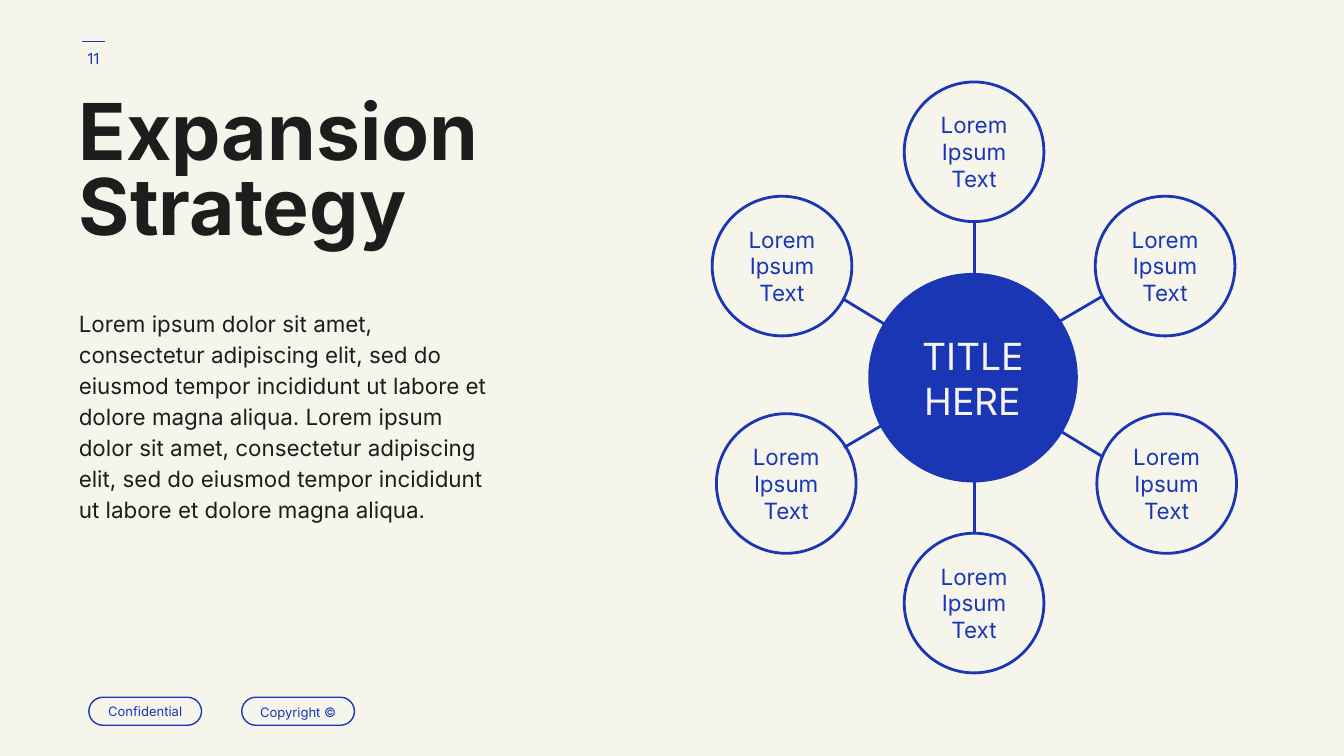
from lxml import etree
from pptx import Presentation
from pptx.dml.color import RGBColor
from pptx.enum.shapes import MSO_CONNECTOR, MSO_SHAPE
from pptx.enum.text import MSO_ANCHOR, PP_ALIGN
from pptx.oxml.ns import qn
from pptx.util import Cm, Pt

BLUE = RGBColor(0x1A, 0x36, 0xB4)
CREAM = RGBColor(0xF6, 0xF5, 0xEC)
INK = RGBColor(0x1D, 0x1D, 0x1D)
FONT = "Inter"
LEFT, CENTER = PP_ALIGN.LEFT, PP_ALIGN.CENTER
TOP, MIDDLE = MSO_ANCHOR.TOP, MSO_ANCHOR.MIDDLE
ROUNDED = MSO_SHAPE.ROUNDED_RECTANGLE
STRAIGHT = MSO_CONNECTOR.STRAIGHT
SITE_TOP, SITE_BOTTOM = 0, 2


class Deck:
    """Holds the style and the current slide."""

    def __init__(self, width, height):
        self.prs = Presentation()
        self.prs.slide_width, self.prs.slide_height = Cm(width), Cm(height)
        self.s = self.prs.slides.add_slide(self.prs.slide_layouts[6])
        fill = self.s.background.fill
        fill.solid()
        fill.fore_color.rgb = CREAM

    def add_lines(self, sp, lines, size, color, align, anchor, spacing, bold=False):
        tf = sp.text_frame
        tf.word_wrap = True
        tf.vertical_anchor = anchor
        tf.margin_left = tf.margin_right = Cm(0.25)
        tf.margin_top = tf.margin_bottom = Cm(0.25)
        for i, line in enumerate(lines):
            p = tf.add_paragraph() if i else tf.paragraphs[0]
            p.alignment = align
            p.line_spacing = spacing
            r = p.add_run()
            r.text = line
            r.font.name = FONT
            r.font.size = Pt(size)
            r.font.bold = bold
            r.font.color.rgb = color

    def text(self, x, y, w, h, lines, size, color=INK, align=LEFT,
             anchor=TOP, spacing=1.0, bold=False):
        sp = self.s.shapes.add_textbox(Cm(x), Cm(y), Cm(w), Cm(h))
        self.add_lines(sp, lines, size, color, align, anchor, spacing, bold)

    def pill(self, x, y, w, h, lines, size, weight=None, fill=None,
             color=BLUE, spacing=1.0):
        sp = self.s.shapes.add_shape(ROUNDED, Cm(x), Cm(y), Cm(w), Cm(h))
        sp.adjustments[0] = 0.5
        sp.shadow.inherit = False
        if fill is None:
            sp.fill.background()
        else:
            sp.fill.solid()
            sp.fill.fore_color.rgb = fill
        if weight is None:
            sp.line.fill.background()
        else:
            sp.line.color.rgb = BLUE
            sp.line.width = Pt(weight)
        self.add_lines(sp, lines, size, color, CENTER, MIDDLE, spacing)
        return sp

    def line(self, x1, y1, x2, y2, weight):
        cx = self.s.shapes.add_connector(STRAIGHT, Cm(x1), Cm(y1), Cm(x2), Cm(y2))
        cx.line.color.rgb = BLUE
        cx.line.width = Pt(weight)
        etree.SubElement(cx._element.spPr, qn("a:effectLst"))
        return cx


def main():
    deck = Deck(25.4, 14.29)

    # Page number and footer
    deck.line(1.55, 0.78, 1.98, 0.78, 0.75)
    deck.text(1.17, 0.56, 1.19, 1.09, ["11"], 8, BLUE, CENTER, MIDDLE)
    for x, label, spacing in ((1.68, "Confidential", 1.0), (4.57, "Copyright ©", 1.15)):
        deck.pill(x, 13.18, 2.13, 0.53, [label], 7, 0.75, spacing=spacing)

    # Title and body
    deck.text(1.24, 1.65, 10.97, 3.66, ["Expansion", "Strategy"], 42,
              spacing=0.8, bold=True)
    sentence = ("Lorem ipsum dolor sit amet, consectetur adipiscing elit, sed do "
                "eiusmod tempor incididunt ut labore et dolore magna aliqua.")
    deck.text(1.24, 5.54, 8.23, 4.78, [" ".join([sentence] * 2)], 12, spacing=1.15)

    # Outer circles, clockwise from the top
    corners = ((17.09, 1.55), (20.7, 3.71), (20.73, 7.82),
               (17.09, 10.08), (13.54, 7.82), (13.46, 3.71))
    circles = [deck.pill(x, y, 2.64, 2.64, ["Lorem", "Ipsum", "Text"], 12, 1.5)
               for x, y in corners]

    # Spokes, running behind the hub
    deck.line(15.95, 8.46, 20.85, 5.59, 1.5)
    deck.line(20.85, 8.64, 15.95, 5.66, 1.5)
    spoke = deck.line(18.41, 10.08, 18.41, 4.19, 1.5)
    spoke.begin_connect(circles[3], SITE_TOP)
    spoke.end_connect(circles[0], SITE_BOTTOM)

    # Hub
    deck.pill(16.41, 5.16, 3.96, 3.96, ["TITLE", "HERE"], 20, fill=BLUE, color=CREAM)

    deck.prs.save("out.pptx")


if __name__ == "__main__":
    main()
